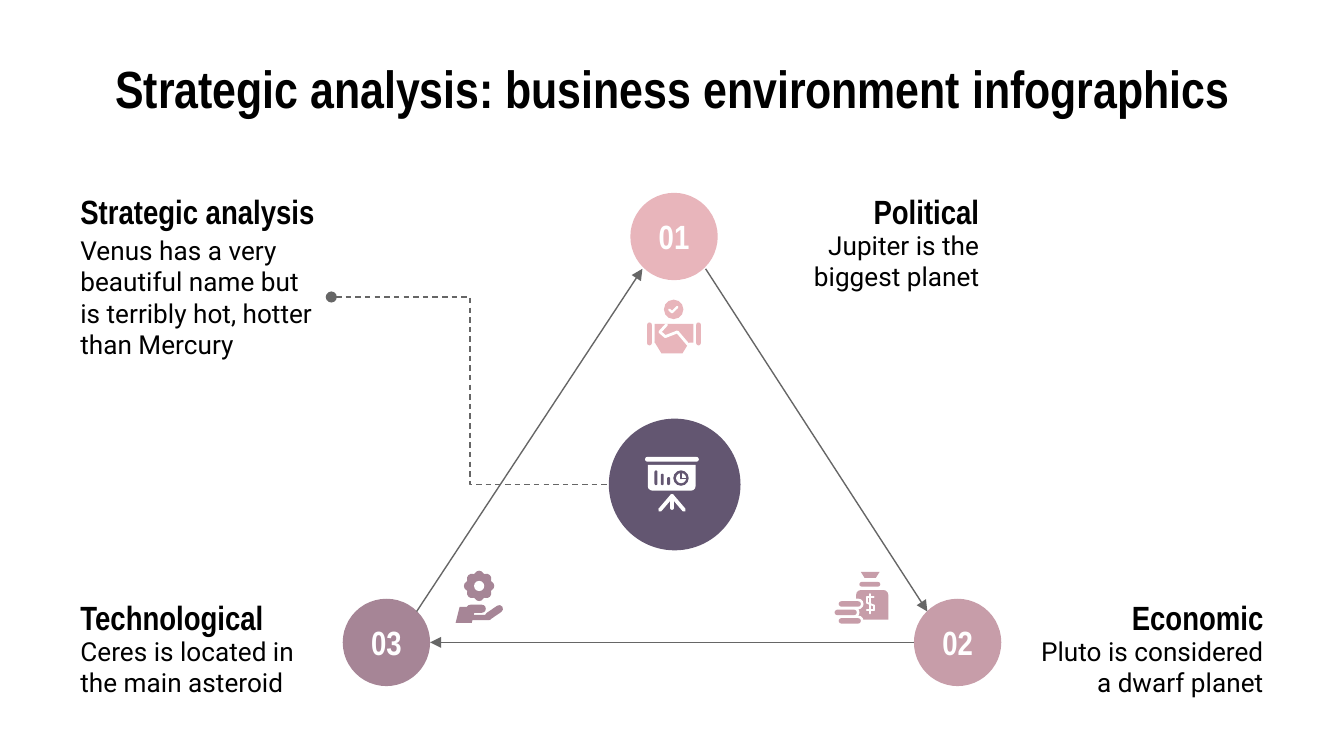
"""Build the triangular business environment infographic slide."""
from dataclasses import dataclass
from itertools import pairwise

from lxml import etree
from pptx import Presentation, util as u
from pptx.dml.color import RGBColor
from pptx.enum import dml, shapes, text
from pptx.oxml import ns


@dataclass(frozen=True)
class Theme:
    ink: str = "000000"
    white: str = "FFFFFF"
    line: str = "666666"
    plum: str = "635671"
    pink: str = "E8B5BB"
    rose: str = "C79DA9"
    mauve: str = "A68596"
    display: str = "Arial Narrow"
    reading: str = "Roboto"
    title: int = 28
    heading: int = 18
    body: int = 14


@dataclass(frozen=True)
class Part:
    kind: int
    color: str
    box: tuple
    turn: float = 0
    label: str = ""


@dataclass(frozen=True)
class Stroke:
    color: str
    width: float
    points: list
    kind: int = shapes.MSO_CONNECTOR.STRAIGHT
    start: str = "none"
    end: str = "none"


theme = Theme()
deck = Presentation()
deck.slide_width, deck.slide_height = u.Inches(10), u.Inches(5.625)
cell = deck.slide_width // 100
page = deck.slides.add_slide(deck.slide_layouts[5])
left, center, right = text.PP_ALIGN.LEFT, text.PP_ALIGN.CENTER, text.PP_ALIGN.RIGHT
circle, pill = shapes.MSO_SHAPE.OVAL, shapes.MSO_SHAPE.ROUNDED_RECTANGLE
block, dome = shapes.MSO_SHAPE.RECTANGLE, shapes.MSO_SHAPE.ROUND_2_SAME_RECTANGLE
funnel = shapes.MSO_SHAPE.FLOWCHART_MANUAL_OPERATION
slant = shapes.MSO_SHAPE.PARALLELOGRAM
elbow = shapes.MSO_CONNECTOR.ELBOW


def grid(*lengths):
    return [round(length * cell) for length in lengths]


def write(box, words, size=theme.heading, font=theme.display, color=theme.ink,
          align=left, bold=True):
    frame = box.text_frame
    frame.word_wrap = True
    frame.auto_size = text.MSO_AUTO_SIZE.NONE
    frame.vertical_anchor = text.MSO_ANCHOR.MIDDLE
    frame.margin_left = frame.margin_right = cell
    frame.margin_top = frame.margin_bottom = cell
    para = frame.paragraphs[0]
    para.alignment = align
    span = para.add_run()
    span.text = words
    span.font.size, span.font.name, span.font.bold = u.Pt(size), font, bold
    span.font.color.rgb = RGBColor.from_string(color)


title = page.shapes.title
title.left, title.top, title.width, title.height = grid(5, 4.5, 90, 4.1)
write(title, "Strategic analysis: business environment infographics",
      size=theme.title, align=center)

margin, text_width, heading_height = 5, 19.6, 3.05
upper, lower, disc_size = 14.15, 44.35, 6.5
topics = [
    ("Strategic analysis",
     "Venus has a very beautiful name but is terribly hot, hotter than Mercury",
     margin, upper, 9.8, left),
    ("Political", "Jupiter is the biggest planet", 54.25, upper, 4.4, right),
    ("Economic", "Pluto is considered a dwarf planet", 75.4, lower, 4.4, right),
    ("Technological", "Ceres is located in the main asteroid", margin, lower, 4.4, left),
]
for heading, body, x, y, body_height, align in topics:
    write(page.shapes.add_textbox(*grid(x, y, text_width, heading_height)),
          heading, align=align)
    write(page.shapes.add_textbox(*grid(x, y + heading_height, text_width, body_height)),
          body, size=theme.body, font=theme.reading, align=align, bold=False)

corners = [(46.9, upper, theme.pink), (68, lower, theme.rose), (25.5, lower, theme.mauve)]
discs = [Part(circle, color, (x, y + 0.2, disc_size, disc_size), label=f"{number:02}")
         for number, (x, y, color) in enumerate(corners, start=1)]
hub = Part(circle, theme.plum, (45.3, 31.15, 9.8, 9.8))

bar_heights = [1.1, 0.85, 0.6]
board = [
    Part(pill, theme.white, (48, 34, 4, 0.35)),
    Part(dome, theme.white, (48.2, 34.6, 3.55, 1.9), turn=180),
    *(Part(pill, theme.plum, (48.7 + 0.47 * column, 36.1 - height, 0.22, height))
      for column, height in enumerate(bar_heights)),
    Part(circle, theme.plum, (50.1, 35, 1.15, 1.15)),
    Part(circle, theme.white, (50.3, 35.2, 0.75, 0.75)),
]
board_top = (50, 36.9)
tripod = [Stroke(theme.white, 2, [board_top, foot])
          for foot in ((49.1, 37.95), (50, 37.8), (50.9, 37.95))]
clock = Stroke(theme.plum, 1, [(50.68, 35.2), (50.68, 35.6), (51.05, 35.6)])

handshake = [
    Part(circle, theme.pink, (49.4, 22.3, 1.45, 1.45)),
    *(Part(pill, theme.pink, (x, 24, 0.35, 1.7)) for x in (48.15, 51.8)),
    Part(block, theme.pink, (48.7, 24.1, 2.9, 1.4)),
    Part(funnel, theme.pink, (48.7, 25.45, 2.6, 0.85)),
]
tick = Stroke(theme.white, 1.25, [(49.8, 23.05), (50, 23.23), (50.4, 22.85)])
clasp = Stroke(theme.white, 1.5, [
    (49.6, 24.15), (49.1, 24.7), (49.5, 25.05), (50.4, 24.7), (51.25, 25.7)])

coin_width, coin_height, gap = 1.65, 0.4, 0.2
coins = [(62.4, 44.74), (62.1, 45.37), (62.4, 46)]
money = [
    Part(funnel, theme.rose, (64.05, 42.55, 1.4, 0.45)),
    Part(pill, theme.rose, (63.95, 43.3, 1.55, 0.35)),
    Part(dome, theme.rose, (63.7, 43.9, 2.4, 2.2)),
    *(Part(pill, theme.white,
           (x - gap, y - gap, coin_width + 2 * gap, coin_height + 2 * gap))
      for x, y in coins),
    *(Part(pill, theme.rose, (x, y, coin_width, coin_height)) for x, y in coins),
]
dollar = [
    Stroke(theme.white, 1, [(65, 44.45), (64.5, 44.45), (64.5, 44.85),
                            (65, 45.05), (65, 45.4), (64.5, 45.4)]),
    Stroke(theme.white, 1, [(64.75, 44.2), (64.75, 45.65)]),
]

gear_x, gear_y = 35.65, 43.6
technology = [
    *(Part(pill, theme.mauve, (gear_x - 1.13, gear_y - 0.35, 2.26, 0.7), turn=turn)
      for turn in range(0, 180, 45)),
    *(Part(circle, color, (gear_x - radius, gear_y - radius, 2 * radius, 2 * radius))
      for color, radius in ((theme.mauve, 0.98), (theme.white, 0.38))),
    Part(slant, theme.mauve, (33.9, 45.15, 1.5, 1.2)),
    Part(pill, theme.mauve, (34.7, 45, 1.45, 0.6)),
    Part(pill, theme.mauve, (34.8, 45.75, 1.75, 0.4)),
]
fingers = Stroke(theme.mauve, 4, [(36.35, 45.85), (37.15, 45.3)])

for part in [*discs, hub, *board, *handshake, *money, *technology]:
    shape = page.shapes.add_shape(part.kind, *grid(*part.box))
    shape.rotation = part.turn
    if part.kind == pill:
        shape.adjustments[0] = 0.5
    shape.shadow.inherit = False
    shape.fill.solid()
    shape.fill.fore_color.rgb = RGBColor.from_string(part.color)
    shape.line.fill.background()
    if part.label:
        write(shape, part.label, color=theme.white, align=center)

triangle = [((31, 45.5), (47.8, 20)), ((52.5, 20), (69, 45.5)), ((68, 47.8), (32, 47.8))]
arrows = [Stroke(theme.line, 0.75, side, end="triangle") for side in triangle]
callout = Stroke(theme.line, 0.75, [(24.65, 22.1), (45.3, 36.05)], elbow, start="oval")

for stroke in [*arrows, callout, *tripod, clock, tick, clasp, *dollar, fingers]:
    for begin, finish in pairwise(stroke.points):
        line = page.shapes.add_connector(stroke.kind, *grid(*begin, *finish))
        line.line.width = u.Pt(stroke.width)
        line.line.color.rgb = RGBColor.from_string(stroke.color)
        if stroke.kind == elbow:
            line.line.dash_style = dml.MSO_LINE.DASH
        properties = line._element.spPr
        outline = properties.find(ns.qn("a:ln"))
        outline.set("cap", "flat" if stroke.color == theme.line else "rnd")
        etree.SubElement(outline, ns.qn("a:headEnd"), type=stroke.start)
        etree.SubElement(outline, ns.qn("a:tailEnd"), type=stroke.end)
        etree.SubElement(properties, ns.qn("a:effectLst"))

deck.save("out.pptx")
